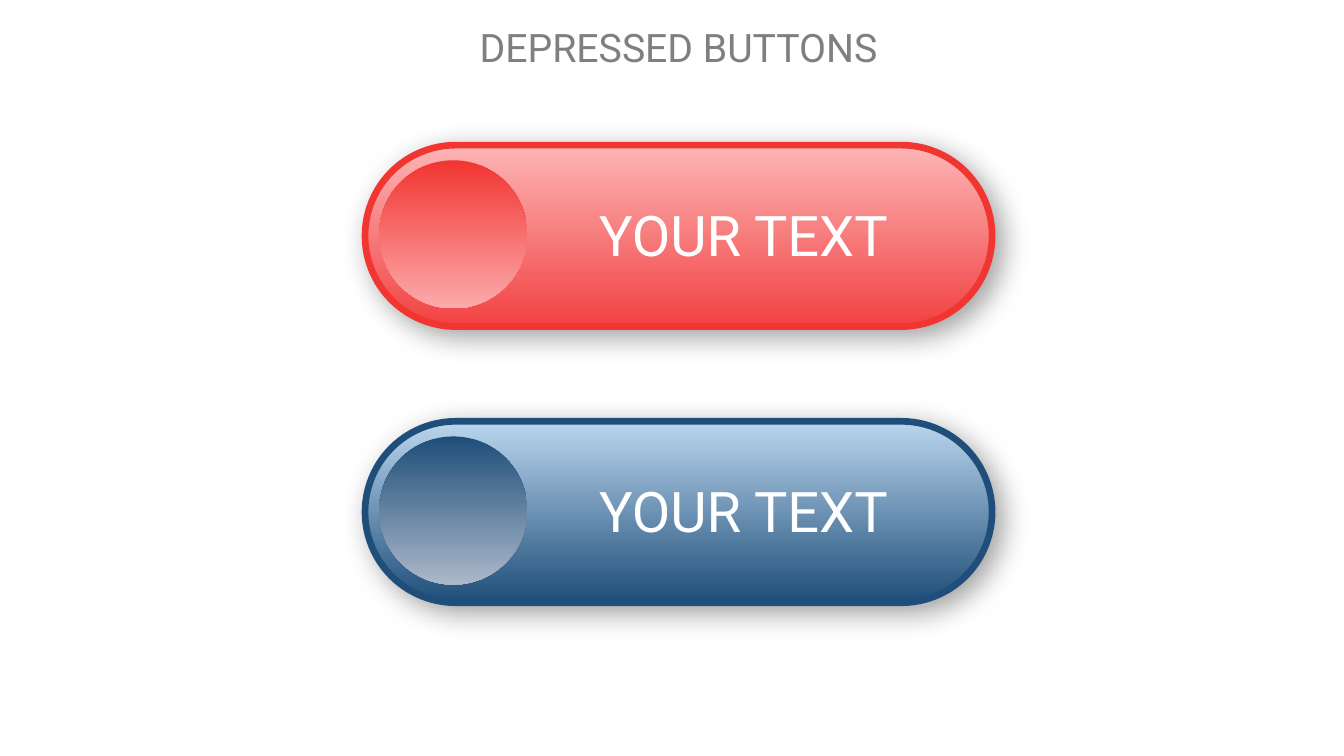
"""Build a slide with two depressed pill-shaped buttons."""
from lxml.etree import SubElement
from pptx import Presentation
from pptx.dml.color import RGBColor
from pptx.enum.shapes import MSO_SHAPE as Preset
from pptx.enum.text import MSO_ANCHOR as Anchor, MSO_AUTO_SIZE as AutoSize, PP_ALIGN as Align
from pptx.oxml.ns import qn
from pptx.util import Inches, Pt

WHITE = RGBColor(0xFF, 0xFF, 0xFF)
GRAY = RGBColor(0x7F, 0x7F, 0x7F)
BLACK = RGBColor(0x00, 0x00, 0x00)
RED = RGBColor(0xF1, 0x35, 0x31)
RED_PALE = RGBColor(0xFD, 0xB5, 0xB6)
RED_SOFT = RGBColor(0xF2, 0x42, 0x42)
RED_GLOW = RGBColor(0xFC, 0xAA, 0xAB)
BLUE = RGBColor(0x1E, 0x4E, 0x79)
BLUE_PALE = RGBColor(0xBB, 0xD6, 0xEE)
BLUE_GLOW = RGBColor(0xAC, 0xB8, 0xCA)

FIRST_TOP = 19.2
BUTTON_PITCH = 36.53
BUTTONS = [
    {"rim": RED, "body": (RED_PALE, RED_SOFT), "knob": (RED, RED_GLOW)},
    {"rim": BLUE, "body": (BLUE_PALE, BLUE), "knob": (BLUE, BLUE_GLOW)},
]


class ButtonPage:
    """Hold the style and current slide; lengths are percentages of the slide."""

    title_format = {"name": "Roboto", "size": Pt(28), "color": GRAY}
    label_format = {"name": "Roboto", "size": Pt(40), "color": WHITE}
    frame_format = {
        "word_wrap": True, "auto_size": AutoSize.NONE, "vertical_anchor": Anchor.MIDDLE,
        "margin_left": Inches(0.1), "margin_right": Inches(0.1),
        "margin_top": Inches(0.05), "margin_bottom": Inches(0.05),
    }

    def __init__(self, deck):
        """Add a title-only slide to the deck."""
        self.deck = deck
        self.page = deck.slides.add_slide(deck.slide_layouts[5])

    def place(self, left, top, width, height):
        """Turn percentages of the slide into lengths."""
        across, down = self.deck.slide_width / 100, self.deck.slide_height / 100
        return [round(v) for v in (left * across, top * down, width * across, height * down)]

    def set_text(self, box, text, font_format):
        """Put one centred line of formatted text in a box."""
        frame = box.text_frame
        for name, value in self.frame_format.items():
            setattr(frame, name, value)
        para = frame.paragraphs[0]
        para.alignment = Align.CENTER
        span = para.add_run()
        span.text = text
        for name, value in font_format.items():
            if name == "color":
                span.font.color.rgb = value
            else:
                setattr(span.font, name, value)

    def title(self, text, *area):
        """Move and fill the title placeholder."""
        box = self.page.shapes.title
        for name, value in zip(("left", "top", "width", "height"), self.place(*area)):
            setattr(box, name, value)
        self.set_text(box, text, self.title_format)

    def label(self, text, *area):
        """Add a text box."""
        self.set_text(self.page.shapes.add_textbox(*self.place(*area)), text, self.label_format)

    def shaded(self, preset, colors, *area):
        """Add an unoutlined shape with a gradient running downwards."""
        shape = self.page.shapes.add_shape(preset, *self.place(*area))
        shape.shadow.inherit = False
        shape.fill.gradient()
        shape.fill.gradient_angle = 270
        for position, (stop, color) in enumerate(zip(shape.fill.gradient_stops, colors)):
            stop.position = position
            stop.color.rgb = color
        shape.line.fill.background()
        return shape

    def drop_shadow(self, shape):
        """Cast a soft shadow to the lower right."""
        effects = shape.element.spPr.find(qn("a:effectLst"))
        shadow = SubElement(effects, qn("a:outerShdw"), blurRad=str(Pt(20)), dist=str(Pt(7)),
                            dir="2700000", algn="tl", rotWithShape="0")
        color = SubElement(shadow, qn("a:srgbClr"), val=str(BLACK))
        SubElement(color, qn("a:alpha"), val="36000")

    def button(self, text, top, rim, body, knob):
        """Add a rimmed pill with a round knob and a label."""
        pill = self.shaded(Preset.ROUNDED_RECTANGLE, body, 27.16, top, 46.66, 24)
        pill.adjustments[0] = 0.5
        pill.line.color.rgb = rim
        pill.line.width = Pt(4.75)
        self.drop_shadow(pill)
        self.shaded(Preset.OVAL, knob, 28.21, top + 2, 11.03, 19.6)
        self.label(text, 38.03, top + 6.6, 34.58, 10.27)


def main():
    """Build and save the deck."""
    deck = Presentation()
    deck.slide_width, deck.slide_height = Inches(13.33), Inches(7.5)
    page = ButtonPage(deck)
    page.title("DEPRESSED BUTTONS", 5.85, 2.4, 89.27, 7.6)
    for index, colors in enumerate(BUTTONS):
        page.button("YOUR TEXT", FIRST_TOP + index * BUTTON_PITCH, **colors)
    deck.save("out.pptx")


if __name__ == "__main__":
    main()
